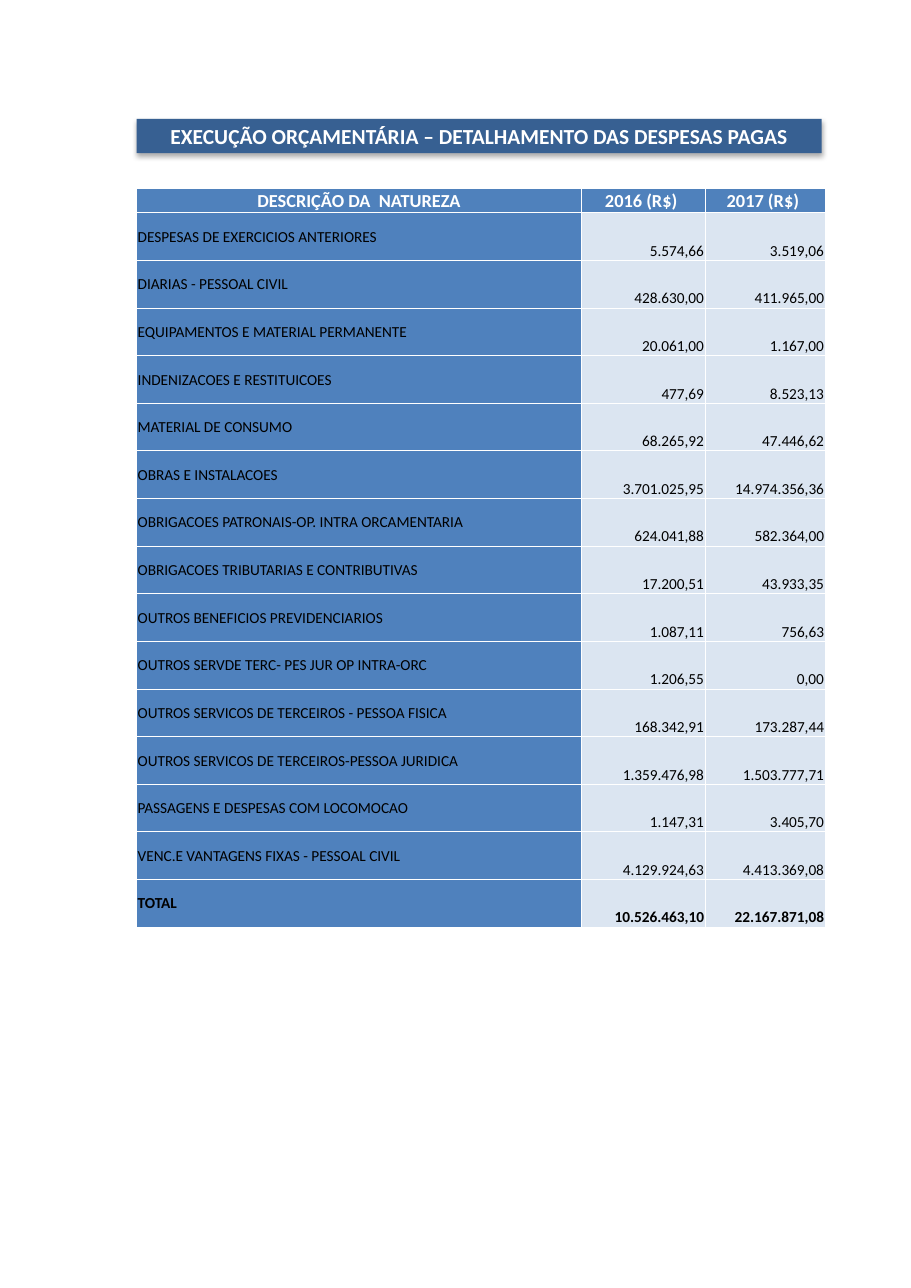
from lxml import etree
from pptx import Presentation
from pptx.dml.color import RGBColor
from pptx.enum.shapes import MSO_SHAPE
from pptx.enum.text import MSO_ANCHOR, PP_ALIGN
from pptx.oxml import parse_xml
from pptx.util import Inches, Pt

TITLE = "EXECUÇÃO ORÇAMENTÁRIA – DETALHAMENTO DAS DESPESAS PAGAS"
EXPENSES = [
    ("DESCRIÇÃO DA  NATUREZA", "2016 (R$) ", "2017 (R$) "),
    ("DESPESAS DE EXERCICIOS ANTERIORES", "5.574,66", "3.519,06"),
    ("DIARIAS - PESSOAL CIVIL", "428.630,00", "411.965,00"),
    ("EQUIPAMENTOS E MATERIAL PERMANENTE", "20.061,00", "1.167,00"),
    ("INDENIZACOES E RESTITUICOES", "477,69", "8.523,13"),
    ("MATERIAL DE CONSUMO", "68.265,92", "47.446,62"),
    ("OBRAS E INSTALACOES", "3.701.025,95", "14.974.356,36"),
    ("OBRIGACOES PATRONAIS-OP. INTRA ORCAMENTARIA", "624.041,88", "582.364,00"),
    ("OBRIGACOES TRIBUTARIAS E CONTRIBUTIVAS", "17.200,51", "43.933,35"),
    ("OUTROS BENEFICIOS PREVIDENCIARIOS", "1.087,11", "756,63"),
    ("OUTROS SERVDE TERC- PES JUR OP INTRA-ORC", "1.206,55", "0,00"),
    ("OUTROS SERVICOS DE TERCEIROS - PESSOA FISICA", "168.342,91", "173.287,44"),
    ("OUTROS SERVICOS DE TERCEIROS-PESSOA JURIDICA", "1.359.476,98", "1.503.777,71"),
    ("PASSAGENS E DESPESAS COM LOCOMOCAO", "1.147,31", "3.405,70"),
    ("VENC.E VANTAGENS FIXAS - PESSOAL CIVIL", "4.129.924,63", "4.413.369,08"),
    ("TOTAL", "10.526.463,10", "22.167.871,08"),
]
COLUMN_WIDTHS = (4.04, 1.12, 1.09)
LEFT = 1.24
TABLE_HEIGHT = 6.71
HEADER_HEIGHT = 0.22

FONT = "Calibri"
WHITE = RGBColor(0xFF, 0xFF, 0xFF)
BLACK = RGBColor(0x00, 0x00, 0x00)
NAVY = RGBColor(0x37, 0x60, 0x92)
HEADER_BLUE = RGBColor(0x4F, 0x81, 0xBC)
LABEL_BLUE = RGBColor(0x4F, 0x81, 0xBD)
PALE_BLUE = RGBColor(0xDB, 0xE5, 0xF1)

RECTANGLE = MSO_SHAPE.RECTANGLE
MIDDLE, BOTTOM = MSO_ANCHOR.MIDDLE, MSO_ANCHOR.BOTTOM
ALIGN_LEFT, CENTER, ALIGN_RIGHT = PP_ALIGN.LEFT, PP_ALIGN.CENTER, PP_ALIGN.RIGHT
NAMESPACE = "http://schemas.openxmlformats.org/drawingml/2006/main"


def format_text(text_frame, size, color, bold, alignment):
    paragraph = text_frame.paragraphs[0]
    paragraph.alignment = alignment
    font = paragraph.runs[0].font
    font.name, font.size, font.bold = FONT, Pt(size), bold
    font.color.rgb = color


def add_shadow(shape):
    shape.shadow.inherit = False
    effects = shape._element.spPr.find(f"{{{NAMESPACE}}}effectLst")
    effects.append(parse_xml(
        f'<a:outerShdw xmlns:a="{NAMESPACE}" blurRad="{Pt(3.5)}" dist="{Pt(2.2)}" '
        'dir="5400000" rotWithShape="0"><a:srgbClr val="000000">'
        '<a:alpha val="32000"/></a:srgbClr></a:outerShdw>'))


def add_borders(cell):
    properties = cell._tc.get_or_add_tcPr()
    for side in ("lnL", "lnR", "lnT", "lnB"):
        line = etree.SubElement(properties, f"{{{NAMESPACE}}}{side}", w=str(Pt(0.5)))
        fill = etree.SubElement(line, f"{{{NAMESPACE}}}solidFill")
        etree.SubElement(fill, f"{{{NAMESPACE}}}srgbClr", val=str(WHITE))


def cell_style(row, column):
    if row == 0:
        return HEADER_BLUE, MIDDLE, (12, WHITE, True, CENTER)
    bold = row == len(EXPENSES) - 1
    if column == 0:
        return LABEL_BLUE, MIDDLE, (10, BLACK, bold, ALIGN_LEFT)
    return PALE_BLUE, BOTTOM, (10, BLACK, bold, ALIGN_RIGHT)


def add_title(slide):
    banner = slide.shapes.add_shape(
        RECTANGLE, Inches(LEFT), Inches(1.08), Inches(6.22), Inches(0.31))
    banner.fill.solid()
    banner.fill.fore_color.rgb = NAVY
    banner.line.fill.background()
    add_shadow(banner)
    text_frame = banner.text_frame
    text_frame.text = TITLE
    text_frame.word_wrap = True
    text_frame.vertical_anchor = MIDDLE
    text_frame.margin_top = text_frame.margin_bottom = 0
    format_text(text_frame, 14, WHITE, True, CENTER)


def add_expense_table(slide):
    table = slide.shapes.add_table(
        len(EXPENSES), len(COLUMN_WIDTHS), Inches(LEFT), Inches(1.71),
        Inches(sum(COLUMN_WIDTHS)), Inches(TABLE_HEIGHT)).table
    table.horz_banding = False
    for column, width in zip(table.columns, COLUMN_WIDTHS):
        column.width = Inches(width)
    body_height = (TABLE_HEIGHT - HEADER_HEIGHT) / (len(EXPENSES) - 1)
    for row, values in enumerate(EXPENSES):
        table.rows[row].height = Inches(body_height if row else HEADER_HEIGHT)
        for column, value in enumerate(values):
            cell = table.cell(row, column)
            background, anchor, text_style = cell_style(row, column)
            add_borders(cell)
            cell.fill.solid()
            cell.fill.fore_color.rgb = background
            cell.vertical_anchor = anchor
            cell.margin_left = cell.margin_right = cell.margin_top = Inches(0.01)
            cell.margin_bottom = 0
            cell.text_frame.text = value
            format_text(cell.text_frame, *text_style)


def main():
    presentation = Presentation()
    presentation.slide_width = Inches(8.27)
    presentation.slide_height = Inches(11.69)
    slide = presentation.slides.add_slide(presentation.slide_layouts[6])
    add_title(slide)
    add_expense_table(slide)
    presentation.save("out.pptx")


if __name__ == "__main__":
    main()
